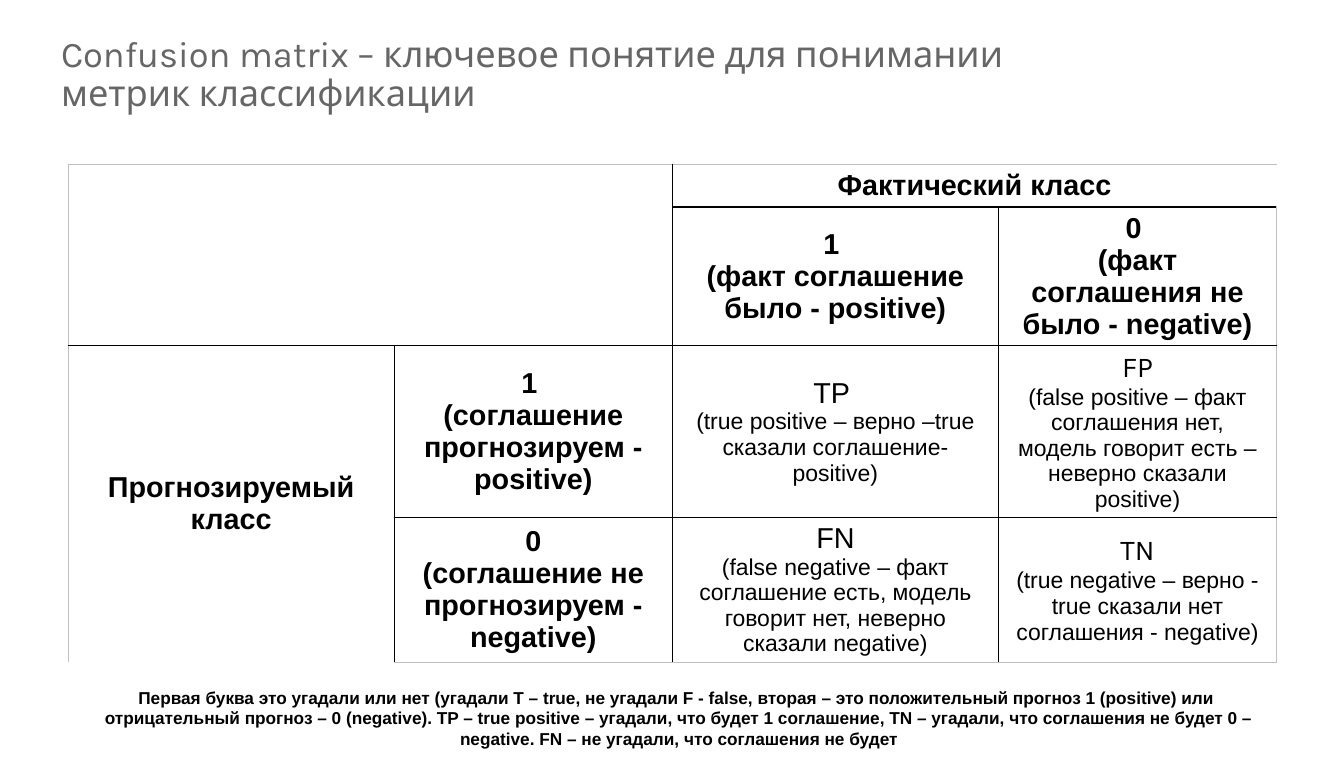
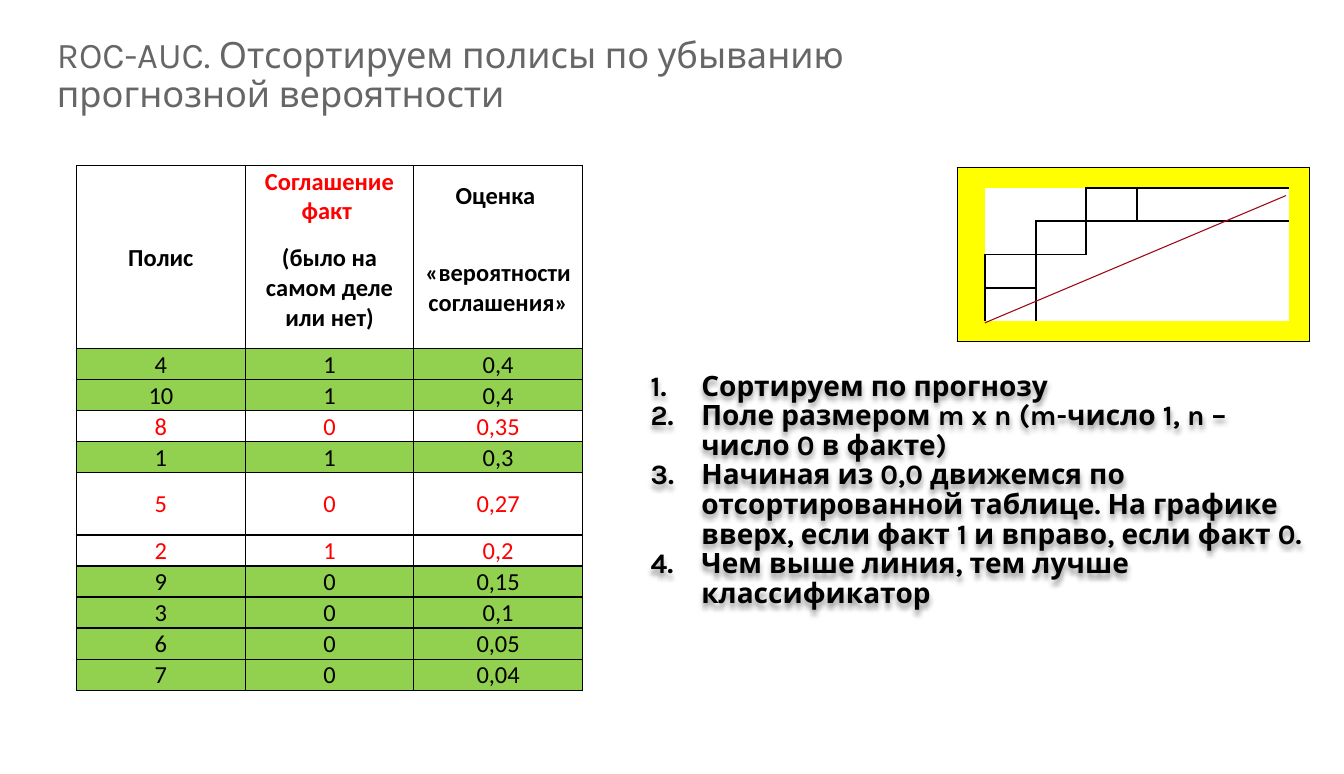
import dataclasses

import lxml.etree
import pptx
import pptx.dml.color
import pptx.enum.shapes
import pptx.enum.text
import pptx.oxml.ns
import pptx.util

Inches = pptx.util.Inches
Pt = pptx.util.Pt
qn = pptx.oxml.ns.qn
PP_ALIGN = pptx.enum.text.PP_ALIGN
MSO_ANCHOR = pptx.enum.text.MSO_ANCHOR

EDGES = {"L": ("R", 0, -1), "R": ("L", 0, 1), "T": ("B", -1, 0), "B": ("T", 1, 0)}
PLAIN_TABLE = "{2D5ABB26-0587-4C30-8999-92F81FD0307C}"


@dataclasses.dataclass(frozen=True)
class Theme:
    ink: str = "000000"
    title: str = "666666"
    alert: str = "FF0000"
    match: str = "92D050"
    field: str = "FFFF00"
    diagonal: str = "9E0515"
    outline: str = "BFBFBF"
    heading_font: str = "Karla"
    body_font: str = "Arial"
    data_font: str = "Calibri"
    title_size: float = 25.2
    matrix_size: float = 20
    list_size: float = 19.5
    data_size: float = 17
    detail_size: float = 16
    note_size: float = 12
    tight: float = 0.88


THEME = Theme()


def rgb(value):
    return pptx.dml.color.RGBColor.from_string(value)


def write(frame, paragraphs, *, size, font, color=THEME.ink, bold=False,
          align=PP_ALIGN.LEFT, spacing=None, numbered=False):
    """Fill a text frame; a paragraph is a string or a (string, overrides) pair."""
    frame.word_wrap = True
    for index, item in enumerate(paragraphs):
        text, changes = item if isinstance(item, tuple) else (item, {})
        look = {"size": size, "font": font, "bold": bold} | changes
        paragraph = frame.paragraphs[0] if index == 0 else frame.add_paragraph()
        paragraph.alignment = align
        if spacing:
            paragraph.line_spacing = spacing
        if numbered:
            properties = paragraph._p.get_or_add_pPr()
            properties.set("marL", str(Inches(0.49)))
            properties.set("indent", str(-Inches(0.49)))
            lxml.etree.SubElement(properties, qn("a:buAutoNum"), type="arabicPeriod")
        run = paragraph.add_run()
        run.text = text
        run.font.size = Pt(look["size"])
        run.font.name = look["font"]
        run.font.bold = look["bold"]
        run.font.color.rgb = rgb(color)


class Deck:
    """Holds the theme, the presentation and the slide being built."""

    def __init__(self, theme):
        self.theme = theme
        self.show = pptx.Presentation()
        self.show.slide_width = Inches(12.99)
        self.show.slide_height = Inches(7.48)
        self.slide = None

    def start(self, title, left, top):
        self.slide = self.show.slides.add_slide(self.show.slide_layouts[5])
        heading = self.slide.shapes.title
        heading.left, heading.top = Inches(left), Inches(top)
        heading.width, heading.height = Inches(9.38), Inches(0.63)
        frame = heading.text_frame
        frame.auto_size = pptx.enum.text.MSO_AUTO_SIZE.NONE
        frame.vertical_anchor = MSO_ANCHOR.TOP
        write(frame, [title], size=self.theme.title_size, font=self.theme.heading_font,
              color=self.theme.title, spacing=self.theme.tight)

    def text(self, place, paragraphs, shadow=False, **look):
        box = self.slide.shapes.add_textbox(*map(Inches, place))
        write(box.text_frame, paragraphs, **look)
        if shadow:
            effects = lxml.etree.SubElement(box._element.spPr, qn("a:effectLst"))
            cast = lxml.etree.SubElement(effects, qn("a:outerShdw"), blurRad="50800",
                                         dist="38100", dir="5400000", algn="t", rotWithShape="0")
            tint = lxml.etree.SubElement(cast, qn("a:srgbClr"), val=self.theme.ink)
            lxml.etree.SubElement(tint, qn("a:alpha"), val="40000")

    def table(self, left, top, widths, heights):
        holder = self.slide.shapes.add_table(
            len(heights), len(widths), Inches(left), Inches(top),
            Inches(sum(widths)), Inches(sum(heights)))
        table = holder.table
        table.first_row = table.horz_banding = False
        table._tbl.tblPr.find(qn("a:tableStyleId")).text = PLAIN_TABLE
        for column, width in zip(table.columns, widths):
            column.width = Inches(width)
        for row, height in zip(table.rows, heights):
            row.height = Inches(height)
        return table

    def cell(self, cell, paragraphs=(), fill=None, margins=(0, 0, 0, 0), **look):
        sides = ("margin_left", "margin_top", "margin_right", "margin_bottom")
        for side, margin in zip(sides, margins):
            setattr(cell, side, Inches(margin))
        cell.vertical_anchor = MSO_ANCHOR.MIDDLE
        if fill:
            cell.fill.solid()
            cell.fill.fore_color.rgb = rgb(fill)
        else:
            cell.fill.background()
        if paragraphs:
            write(cell.text_frame, paragraphs, align=PP_ALIGN.CENTER, **look)
        else:
            lxml.etree.SubElement(cell.text_frame.paragraphs[0]._p, qn("a:endParaRPr"), sz="600")

    def edge(self, table, row, column, side, width, color):
        opposite, down, across = EDGES[side]
        for r, c, name in ((row, column, side), (row + down, column + across, opposite)):
            if not (0 <= r < len(table.rows) and 0 <= c < len(table.columns)):
                continue
            properties = table.cell(r, c)._tc.get_or_add_tcPr()
            previous = properties.find(qn("a:ln" + name))
            if previous is not None:
                properties.remove(previous)
            earlier = "LRTB"[:"LRTB".index(name)]
            position = sum(properties.find(qn("a:ln" + s)) is not None for s in earlier)
            line = lxml.etree.SubElement(properties, qn("a:ln" + name), w=str(Pt(width)))
            properties.insert(position, line)
            solid = lxml.etree.SubElement(line, qn("a:solidFill"))
            lxml.etree.SubElement(solid, qn("a:srgbClr"), val=color)

    def frame(self, table, row, column, rows=1, columns=1, width=1, color=THEME.ink):
        for r in range(row, row + rows):
            self.edge(table, r, column, "L", width, color)
            self.edge(table, r, column + columns - 1, "R", width, color)
        for c in range(column, column + columns):
            self.edge(table, row, c, "T", width, color)
            self.edge(table, row + rows - 1, c, "B", width, color)

    def line(self, start, end, color, width):
        connector = self.slide.shapes.add_connector(
            pptx.enum.shapes.MSO_CONNECTOR.STRAIGHT, *map(Inches, start + end))
        connector.line.color.rgb = rgb(color)
        connector.line.width = Pt(width)
        lxml.etree.SubElement(connector._element.spPr, qn("a:effectLst"))


def confusion_matrix(deck):
    theme = deck.theme
    deck.start("Confusion matrix – ключевое понятие для понимании метрик классификации", 0.49, 0.31)
    matrix = deck.table(0.66, 1.59, [3.15, 2.69, 3.15, 2.69], [0.41, 1.34, 1.41, 1.39])
    plain = {"bold": False}
    karla = {"bold": False, "font": theme.heading_font}
    detail = {"bold": False, "size": theme.detail_size}
    blocks = [
        (0, 0, 2, 2, []),
        (0, 2, 1, 2, ["Фактический класс"]),
        (1, 2, 1, 1, ["1 ", "(факт соглашение было - positive)"]),
        (1, 3, 1, 1, ["0 ", "(факт соглашения не было - negative)"]),
        (2, 0, 2, 1, ["Прогнозируемый класс"]),
        (2, 1, 1, 1, ["1 ", "(соглашение прогнозируем - positive)"]),
        (3, 1, 1, 1, ["0", "(соглашение не прогнозируем - negative)"]),
        (2, 2, 1, 1, [("TP ", plain),
                      ("(true positive – верно –true сказали соглашение- positive)", detail)]),
        (2, 3, 1, 1, [("FP", karla),
                      ("(false positive – факт соглашения нет, модель говорит есть – "
                       "неверно сказали positive)", detail)]),
        (3, 2, 1, 1, [("FN", plain),
                      ("(false negative – факт соглашение есть, модель говорит нет, "
                       "неверно сказали negative)", detail)]),
        (3, 3, 1, 1, [("TN", karla),
                      ("(true negative – верно - true сказали нет соглашения - negative)", detail)]),
    ]
    for row, column, rows, columns, paragraphs in blocks:
        corner = matrix.cell(row, column)
        if rows * columns > 1:
            corner.merge(matrix.cell(row + rows - 1, column + columns - 1))
        deck.cell(corner, paragraphs, margins=(0.1, 0.05, 0.1, 0.05),
                  size=theme.matrix_size, font=theme.body_font, bold=True)
        deck.frame(matrix, row, column, rows, columns)
    deck.frame(matrix, 0, 0, 4, 4, width=0.5, color=theme.outline)
    deck.text(
        (0.81, 6.59, 11.51, 0.71),
        ["Первая буква это угадали или нет (угадали T – true, не угадали F - false, "
         "вторая – это положительный прогноз 1 (positive) или ",
         "отрицательный прогноз – 0 (negative). TP – true positive – угадали, что будет "
         "1 соглашение, TN – угадали, что соглашения не будет 0 – negative. "
         "FN – не угадали, что соглашения не будет"],
        size=theme.note_size, font=theme.body_font, bold=True, align=PP_ALIGN.CENTER)


def policy_table(deck):
    theme = deck.theme
    policies = [
        ("4", "1", "0,4"), ("10", "1", "0,4"), ("8", "0", "0,35"), ("1", "1", "0,3"),
        ("5", "0", "0,27"), ("2", "1", "0,2"), ("9", "0", "0,15"), ("3", "0", "0,1"),
        ("6", "0", "0,05"), ("7", "0", "0,04"),
    ]
    mistakes = {"8", "5", "2"}
    heights = [0.59, 1.18] + [0.6 if policy[0] == "5" else 0.3 for policy in policies]
    ranking = deck.table(0.74, 1.6, [1.63] * 3, heights)
    look = {"margins": (0.01, 0.01, 0.01, 0), "size": theme.data_size, "font": theme.data_font}
    ranking.cell(0, 0).merge(ranking.cell(1, 0))
    headings = [
        (0, 0, "Полис", theme.ink),
        (0, 1, "Соглашение факт ", theme.alert),
        (0, 2, "Оценка ", theme.ink),
        (1, 1, "(было на самом деле или нет)", theme.ink),
        (1, 2, "«вероятности соглашения»", theme.ink),
    ]
    for row, column, text, color in headings:
        deck.cell(ranking.cell(row, column), [text], color=color, bold=True, **look)
    for column in range(3):
        deck.frame(ranking, 0, column, rows=2)
    for row, policy in enumerate(policies, start=2):
        wrong = policy[0] in mistakes
        for column, value in enumerate(policy):
            deck.cell(ranking.cell(row, column), [value], fill=None if wrong else theme.match,
                      color=theme.alert if wrong else theme.ink, **look)
            deck.frame(ranking, row, column)


def roc_curve(deck):
    theme = deck.theme
    field = deck.table(9.25, 1.62, [0.27] + [0.49] * 6 + [0.2], [0.2] + [0.32] * 4 + [0.2])
    for row in range(6):
        for column in range(8):
            inside = 1 <= row <= 4 and 1 <= column <= 6
            deck.cell(field.cell(row, column), fill=None if inside else theme.field)
    deck.frame(field, 0, 0, 6, 8, width=0.5)
    level = 5
    for column, step in enumerate([3, 2, 1, 1, 1, 1], start=1):
        for row in range(step, level):
            deck.edge(field, row, column, "L", 1.5, theme.ink)
        deck.edge(field, step, column, "T", 1.5, theme.ink)
        level = step
    deck.line((9.52, 3.12), (12.43, 1.89), theme.diagonal, 0.75)


def roc_auc(deck):
    theme = deck.theme
    deck.start("ROC-AUC. Отсортируем полисы по убыванию прогнозной вероятности", 0.45, 0.32)
    policy_table(deck)
    roc_curve(deck)
    deck.text(
        (6.19, 3.55, 6.67, 2.37),
        ["Сортируем по прогнозу",
         "Поле размером m x n (m-число 1, n – число 0 в факте)",
         "Начиная из 0,0 движемся по отсортированной таблице. На графике вверх, "
         "если факт 1 и вправо, если факт 0.",
         "Чем выше линия, тем лучше классификатор"],
        shadow=True, size=theme.list_size, font=theme.heading_font, bold=True,
        spacing=theme.tight, numbered=True)


def main():
    deck = Deck(THEME)
    confusion_matrix(deck)
    roc_auc(deck)
    deck.show.save("out.pptx")


if __name__ == "__main__":
    main()
